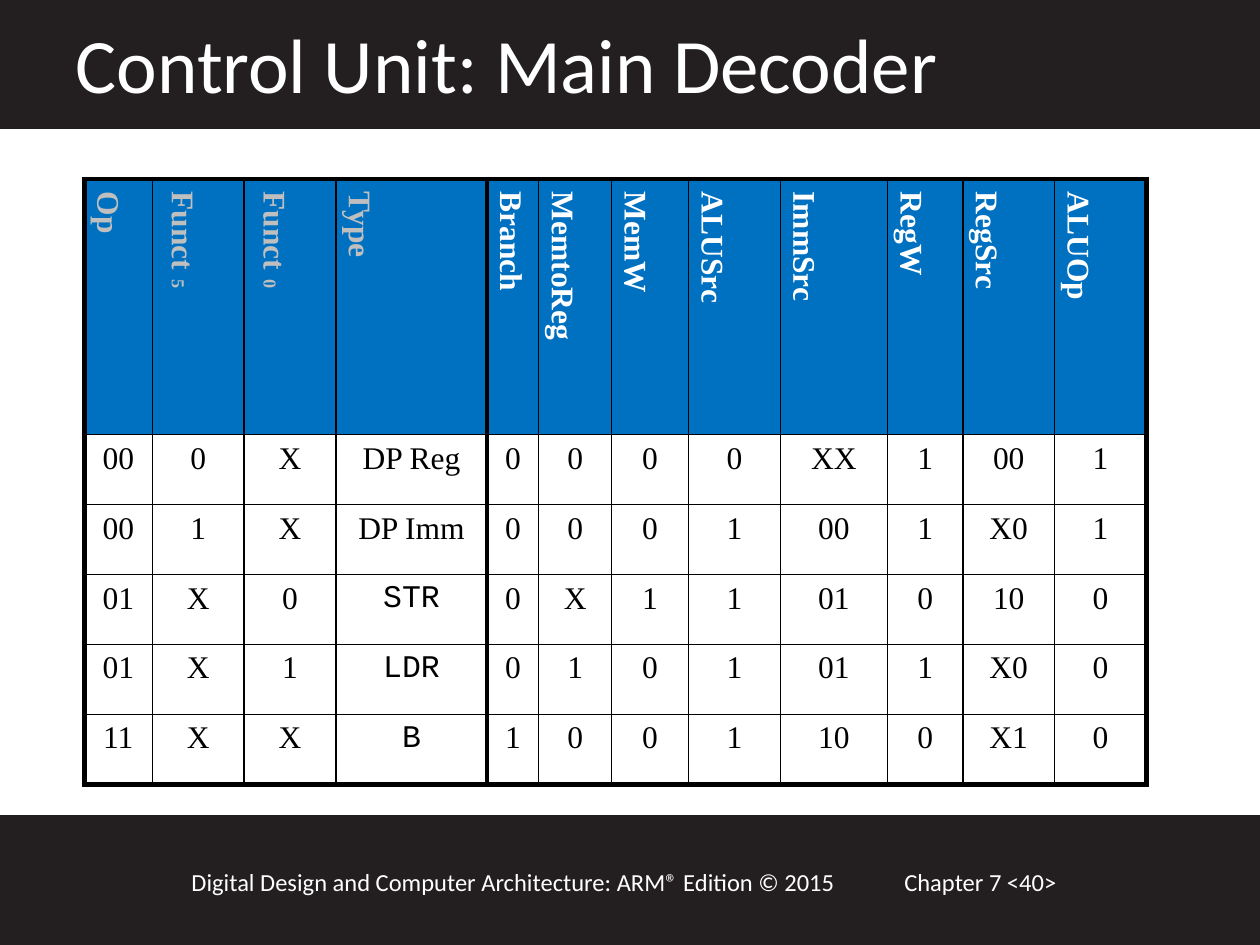
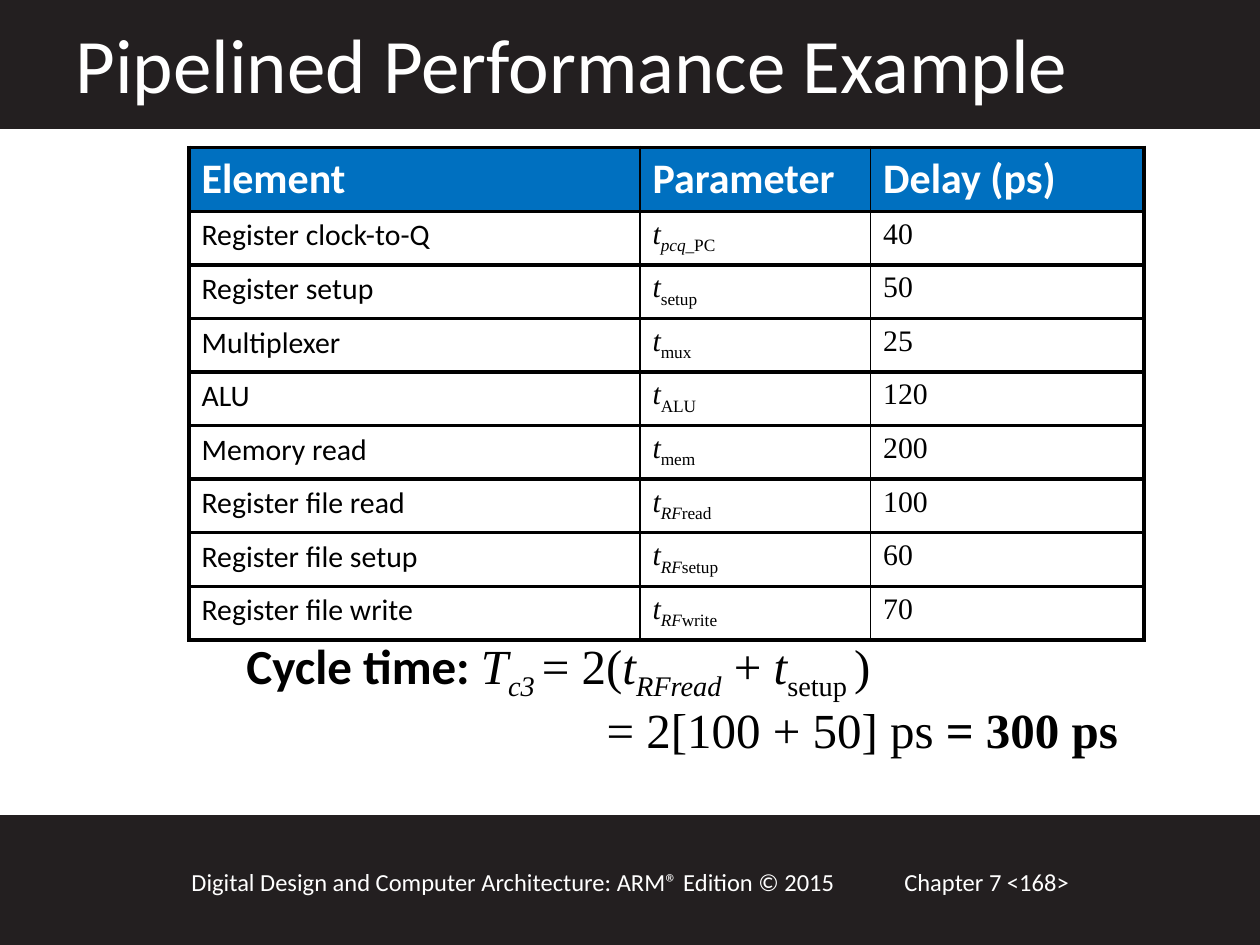
"""Build two lecture slides: a main decoder truth table and a pipelined timing example."""
from pptx import Presentation
from pptx.dml.color import RGBColor
from pptx.enum.shapes import MSO_SHAPE as Shape
from pptx.enum.text import MSO_ANCHOR as Anchor, MSO_AUTO_SIZE as AutoSize, PP_ALIGN as Align
from pptx.oxml.ns import qn
from pptx.util import Cm, Pt
from lxml.etree import SubElement

BAND = RGBColor(0x23, 0x1F, 0x20)
HEADER = RGBColor(0x00, 0x70, 0xC0)
INPUT = RGBColor(0xBF, 0xBF, 0xBF)
WHITE = RGBColor(0xFF, 0xFF, 0xFF)
BLACK = RGBColor(0x00, 0x00, 0x00)

SANS, SERIF, MONO = "Calibri", "Times New Roman", "Courier New"
TITLE_ONLY = 5
BOOK = "Digital Design and Computer Architecture: ARM® Edition © 2015"

DECODER_HEADS = ["Op", "Funct 5", "Funct 0", "Type", "Branch", "MemtoReg", "MemW",
                 "ALUSrc", "ImmSrc", "RegW", "RegSrc", "ALUOp"]
DECODER_WIDTHS = [1.37, 1.85, 1.85, 3.05, 1.04, 1.47, 1.55, 1.85, 2.16, 1.52, 1.85, 1.85]
DECODER_ROWS = [
    ["00", "0", "X", "DP Reg", "0", "0", "0", "0", "XX", "1", "00", "1"],
    ["00", "1", "X", "DP Imm", "0", "0", "0", "1", "00", "1", "X0", "1"],
    ["01", "X", "0", "STR", "0", "X", "1", "1", "01", "0", "10", "0"],
    ["01", "X", "1", "LDR", "0", "1", "0", "1", "01", "1", "X0", "0"],
    ["11", "X", "X", "B", "1", "0", "0", "1", "10", "0", "X1", "0"],
]
INPUT_COLUMNS = 4
INSTRUCTIONS = {"STR", "LDR", "B"}

DELAY_HEADS = ["Element", "Parameter", "Delay (ps)"]
DELAY_WIDTHS = [9.09, 4.65, 5.51]
DELAYS = [
    ("Register clock-to-Q", "pcq", "_PC", 40),
    ("Register setup", "", "setup", 50),
    ("Multiplexer", "", "mux", 25),
    ("ALU", "", "ALU", 120),
    ("Memory read", "", "mem", 200),
    ("Register file read", "RF", "read", 100),
    ("Register file setup", "RF", "setup", 60),
    ("Register file write", "RF", "write", 70),
]


def add_run(paragraph, text, size, font=SERIF, color=BLACK, bold=False, italic=False, drop=0):
    """Add one formatted run, lowered by drop percent."""
    run = paragraph.add_run()
    run.text = text
    run.font.size, run.font.name = Pt(size), font
    run.font.bold, run.font.italic = bold, italic
    run.font.color.rgb = color
    if drop:
        run._r.get_or_add_rPr().set("baseline", str(-1000 * drop))


def set_indent(paragraph, left, first):
    """Set the left margin and first-line indent in centimetres."""
    properties = paragraph._p.get_or_add_pPr()
    properties.set("marL", str(Cm(left)))
    properties.set("indent", str(Cm(first)))


def add_text_box(slide, left, top, width, height):
    """Add a wrapping text box and return its text frame."""
    box = slide.shapes.add_textbox(Cm(left), Cm(top), Cm(width), Cm(height))
    box.text_frame.word_wrap = True
    return box.text_frame


def add_band(slide, top):
    """Add a full-width dark band."""
    band = slide.shapes.add_shape(Shape.RECTANGLE, 0, Cm(top), Cm(25.4), Cm(2.57))
    band.shadow.inherit = False
    band.fill.solid()
    band.fill.fore_color.rgb = BAND
    band.line.color.rgb = BAND
    band.line.width = Pt(2)


def add_titled_slide(presentation, title, page):
    """Add a slide with bands, footer and title."""
    slide = presentation.slides.add_slide(presentation.slide_layouts[TITLE_ONLY])
    for top in (16.46, 0):
        add_band(slide, top)
    for left, width, text in ((17.98, 5.51, f"Chapter 7 <{page}>"), (3.61, 14.6, BOOK)):
        frame = add_text_box(slide, left, 17.35, width, 0.86)
        add_run(frame.paragraphs[0], text, 14, SANS, WHITE)
    holder = slide.shapes.title
    holder.left, holder.top, holder.width, holder.height = Cm(1.27), Cm(0.2), Cm(22.02), Cm(2.13)
    frame = holder.text_frame
    frame.auto_size = AutoSize.NONE
    frame.vertical_anchor = Anchor.MIDDLE
    frame.paragraphs[0].alignment = Align.LEFT
    add_run(frame.paragraphs[0], title, 44, SANS, WHITE)
    holder.element.getparent().append(holder.element)
    return slide


def add_border(cell, side, width):
    """Draw one black cell border; side is L, R, T or B."""
    line = SubElement(cell._tc.get_or_add_tcPr(), qn(f"a:ln{side}"), w=str(Pt(width)))
    fill = SubElement(line, qn("a:solidFill"))
    SubElement(fill, qn("a:srgbClr"), val=str(BLACK))


def add_grid(slide, left, top, widths, heights, thick, thick_columns, thick_rows):
    """Add a table with a filled header row and thick lines at the given grid positions."""
    table = slide.shapes.add_table(len(heights), len(widths), Cm(left), Cm(top),
                                   Cm(sum(widths)), Cm(sum(heights))).table
    table.first_row = table.horz_banding = False
    for column, width in zip(table.columns, widths):
        column.width = Cm(width)
    for row, height in zip(table.rows, heights):
        row.height = Cm(height)
    for r in range(len(heights)):
        for c in range(len(widths)):
            cell = table.cell(r, c)
            for side, position, thick_set in (("L", c, thick_columns), ("R", c + 1, thick_columns),
                                              ("T", r, thick_rows), ("B", r + 1, thick_rows)):
                add_border(cell, side, thick if position in thick_set else 1)
            if r == 0:
                cell.fill.solid()
                cell.fill.fore_color.rgb = HEADER
            else:
                cell.fill.background()
    return table


def add_decoder_table(slide):
    """Add the truth table of the main decoder."""
    heights = [5.12] + [1.41] * len(DECODER_ROWS)
    table = add_grid(slide, 1.7, 3.61, DECODER_WIDTHS, heights, 3,
                     {0, INPUT_COLUMNS, len(DECODER_WIDTHS)}, {0, len(heights)})
    for c, head in enumerate(DECODER_HEADS):
        cell = table.cell(0, c)
        cell._tc.get_or_add_tcPr().set("vert", "vert")
        paragraph = cell.text_frame.paragraphs[0]
        set_indent(paragraph, 0.95, -0.95)
        color = INPUT if c < INPUT_COLUMNS else WHITE
        name, _, bit = head.partition(" ")
        add_run(paragraph, name, 18, color=color, bold=True)
        if bit:
            add_run(paragraph, bit, 18, color=color, bold=True, drop=30)
    for r, values in enumerate(DECODER_ROWS, 1):
        for c, value in enumerate(values):
            paragraph = table.cell(r, c).text_frame.paragraphs[0]
            set_indent(paragraph, 0.95, -0.95)
            paragraph.alignment = Align.CENTER
            add_run(paragraph, value, 18, MONO if value in INSTRUCTIONS else SERIF)


def add_delay_table(slide):
    """Add the table of element delays."""
    heights = [1.27] + [1.08] * len(DELAYS)
    table = add_grid(slide, 3.81, 2.97, DELAY_WIDTHS, heights, 2.25,
                     {0, len(DELAY_WIDTHS)}, range(len(heights) + 1))
    for c, head in enumerate(DELAY_HEADS):
        add_run(table.cell(0, c).text_frame.paragraphs[0], head, 24, SANS, WHITE, bold=True)
    for r, (element, slanted, upright, delay) in enumerate(DELAYS, 1):
        name, parameter, value = (table.cell(r, c).text_frame.paragraphs[0] for c in range(3))
        add_run(name, element, 17, SANS)
        add_run(parameter, "t", 17, italic=True)
        if slanted:
            add_run(parameter, slanted, 17, italic=True, drop=25)
        add_run(parameter, upright, 17, drop=25)
        add_run(value, str(delay), 17)


def add_cycle_time(slide):
    """Add the two-line cycle time calculation."""
    frame = add_text_box(slide, 4.72, 12.7, 18.57, 2.97)
    formula, result = frame.paragraphs[0], frame.add_paragraph()
    for paragraph in (formula, result):
        paragraph.line_spacing = 0.9
    set_indent(formula, 0.95, -0.95)
    set_indent(result, 7.26, 0)
    result.space_before = Pt(5.6)
    add_run(formula, "Cycle time: ", 28, SANS, bold=True)
    for text, italic, drop in (("T", True, 0), ("c3 ", True, 25), ("= 2(", False, 0),
                               ("t", True, 0), ("RFread", True, 25), (" + ", False, 0),
                               ("t", True, 0), ("setup ", False, 25), (")", False, 0)):
        add_run(formula, text, 28, italic=italic, drop=drop)
    add_run(result, "= 2[100 + 50] ps ", 28)
    add_run(result, "= 300 ps", 28, bold=True)


def main():
    """Build and save the presentation."""
    presentation = Presentation()
    presentation.slide_width, presentation.slide_height = Cm(25.4), Cm(19.05)
    add_decoder_table(add_titled_slide(presentation, "Control Unit: Main Decoder", 40))
    performance = add_titled_slide(presentation, "Pipelined Performance Example", 168)
    add_delay_table(performance)
    add_cycle_time(performance)
    presentation.save("out.pptx")


if __name__ == "__main__":
    main()
